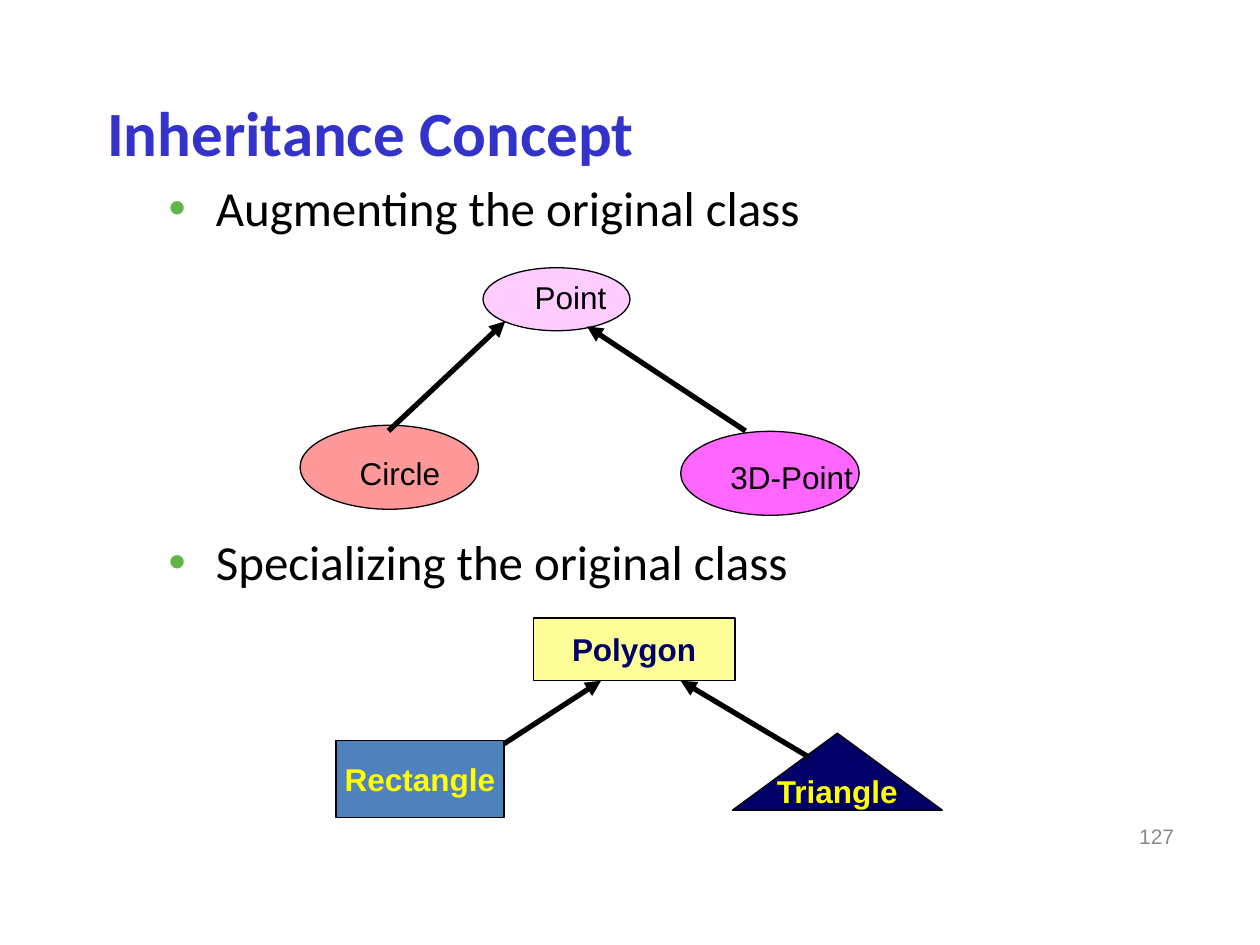
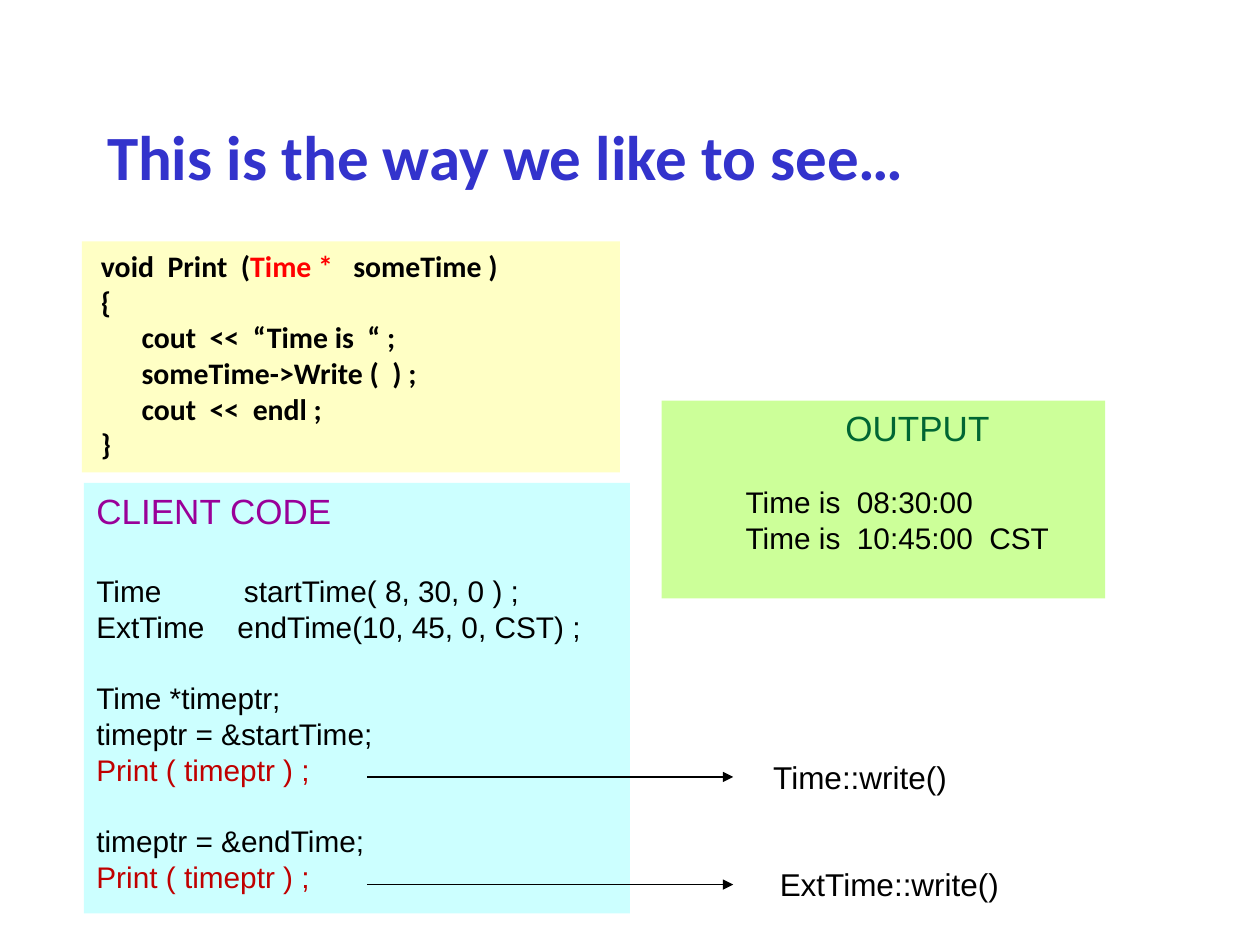
from dataclasses import dataclass

from lxml import etree
from pptx import Presentation
from pptx.dml.color import RGBColor
from pptx.enum.shapes import MSO_CONNECTOR, MSO_SHAPE
from pptx.enum.text import MSO_ANCHOR, MSO_AUTO_SIZE, PP_ALIGN
from pptx.oxml.ns import qn
from pptx.util import Pt

OVAL = MSO_SHAPE.OVAL
RECT = MSO_SHAPE.RECTANGLE
WEDGE = MSO_SHAPE.ISOSCELES_TRIANGLE
STRAIGHT = MSO_CONNECTOR.STRAIGHT
TOP, MIDDLE, BOTTOM = MSO_ANCHOR.TOP, MSO_ANCHOR.MIDDLE, MSO_ANCHOR.BOTTOM
LEFT, CENTER, RIGHT = PP_ALIGN.LEFT, PP_ALIGN.CENTER, PP_ALIGN.RIGHT
FIXED = MSO_AUTO_SIZE.NONE

HUES = {
    "title": "3333CC", "black": "000000", "grey": "898989", "bullet": "61B546",
    "salmon": "FF9999", "pink": "FFCCFF", "magenta": "FF66FF", "blue": "4F81BD",
    "navy": "000066", "lemon": "FFFF99", "yellow": "FFFF00", "cream": "FFFFC5",
    "aqua": "CCFFFF", "lime": "CCFF99", "red": "FF0000", "crimson": "C00000",
    "purple": "990099", "green": "006633",
}
SANS, HEAD = "Arial", "Calibri"
PITCH = 20.4


@dataclass
class Area:
    left: float
    top: float
    width: float
    height: float

    def points(self) -> tuple:
        return Pt(self.left), Pt(self.top), Pt(self.width), Pt(self.height)


@dataclass
class Node:
    kind: int
    area: Area
    fill: str
    text: str = ""
    hue: str = "black"


@dataclass
class Label:
    text: str
    area: Area


@dataclass
class Arrow:
    start: tuple
    end: tuple
    weight: float


@dataclass
class Line:
    spans: list
    indent: float = 0
    before: float = 0
    size: float = 17
    pitch: float = PITCH


@dataclass
class Panel:
    area: Area
    fill: str
    lines: list
    font: str = SANS
    bold: bool = False


def color(name: str) -> RGBColor:
    return RGBColor.from_string(HUES[name])


def style(font, size: float, hue: str, face: str = SANS, bold: bool = False) -> None:
    font.size = Pt(size)
    font.name = face
    font.bold = bold
    font.color.rgb = color(hue)


def set_frame(frame, anchor=TOP, wrap: bool = True) -> None:
    frame.auto_size = FIXED
    frame.word_wrap = wrap
    frame.vertical_anchor = anchor


def new_slide(deck, text: str, area: Area, anchor):
    slide = deck.slides.add_slide(deck.slide_layouts[5])
    title = slide.shapes.title
    title.left, title.top, title.width, title.height = area.points()
    frame = title.text_frame
    frame.text = text
    set_frame(frame, anchor)
    para = frame.paragraphs[0]
    para.alignment = LEFT
    style(para.runs[0].font, 36, "title", HEAD, True)
    return slide


def add_form(slide, kind: int, area: Area, fill: str):
    shape = slide.shapes.add_shape(kind, *area.points())
    shape.shadow.inherit = False
    shape.fill.solid()
    shape.fill.fore_color.rgb = color(fill)
    return shape


def add_node(slide, node: Node) -> None:
    shape = add_form(slide, node.kind, node.area, node.fill)
    shape.line.color.rgb = color("black")
    shape.line.width = Pt(0.75)
    if node.text:
        frame = shape.text_frame
        frame.text = node.text
        set_frame(frame, MIDDLE, False)
        para = frame.paragraphs[0]
        para.alignment = CENTER
        style(para.runs[0].font, 18, node.hue, bold=True)


def add_label(slide, label: Label, size: float = 18, hue: str = "black",
              align=LEFT, anchor=TOP) -> None:
    frame = slide.shapes.add_textbox(*label.area.points()).text_frame
    frame.text = label.text
    set_frame(frame, anchor, align == RIGHT)
    para = frame.paragraphs[0]
    para.alignment = align
    style(para.runs[0].font, size, hue)


def add_arrow(slide, arrow: Arrow) -> None:
    ends = [Pt(value) for value in (*arrow.start, *arrow.end)]
    link = slide.shapes.add_connector(STRAIGHT, *ends)
    link.line.color.rgb = color("black")
    link.line.width = Pt(arrow.weight)
    props = link._element.spPr
    etree.SubElement(props.find(qn("a:ln")), qn("a:tailEnd"), type="triangle")
    etree.SubElement(props, qn("a:effectLst"))


def add_points(slide, area: Area, items: list) -> None:
    frame = slide.shapes.add_textbox(*area.points()).text_frame
    set_frame(frame)
    frame.text = "\n".join(text for text, _ in items)
    for para, (_, before) in zip(frame.paragraphs, items):
        props = para._p.get_or_add_pPr()
        props.set("marL", str(Pt(27)))
        props.set("indent", str(-Pt(27)))
        tint = etree.SubElement(props, qn("a:buClr"))
        etree.SubElement(tint, qn("a:srgbClr"), val=HUES["bullet"])
        etree.SubElement(props, qn("a:buFont"), typeface=SANS)
        etree.SubElement(props, qn("a:buChar"), char="•")
        if before:
            para.space_before = Pt(before)
        style(para.runs[0].font, 28, "black", HEAD)


def add_panel(slide, panel: Panel) -> None:
    shape = add_form(slide, RECT, panel.area, panel.fill)
    shape.line.fill.background()
    frame = shape.text_frame
    set_frame(frame)
    for index, line in enumerate(panel.lines):
        para = frame.add_paragraph() if index else frame.paragraphs[0]
        para.alignment = LEFT
        para._p.get_or_add_pPr().set("marL", str(Pt(line.indent)))
        if line.before:
            para.space_before = Pt(line.before)
        if line.pitch:
            para.line_spacing = Pt(line.pitch)
        for text, hue in line.spans:
            run = para.add_run()
            run.text = text
            style(run.font, line.size, hue, panel.font, panel.bold)


def plain(text: str, indent: float = 0, before: float = 0, hue: str = "black") -> Line:
    return Line([(text, hue)], indent, before)


def header(text: str, hue: str, indent: float = 0) -> Line:
    return Line([(text, hue)], indent, size=20, pitch=0)


NODES = [
    Node(OVAL, Area(171.5, 243, 102, 48), "salmon"),
    Node(OVAL, Area(276, 153, 84, 36), "pink"),
    Node(OVAL, Area(389, 246.5, 102, 48), "magenta"),
    Node(RECT, Area(192, 423, 96, 44), "blue", "Rectangle", "yellow"),
    Node(WEDGE, Area(418.5, 419, 120, 44), "navy", "Triangle", "yellow"),
    Node(RECT, Area(304.75, 353.25, 115.25, 35.5), "lemon", "Polygon", "navy"),
]
LINKS = [
    Arrow((222, 246.25), (288.75, 183.6), 3),
    Arrow((426, 246.25), (335.5, 186.5), 3),
    Arrow((288, 425), (343.5, 389), 3),
    Arrow((462, 432.5), (389, 389), 3),
]
NAMES = [
    Label("Point", Area(298.5, 155.5, 55.5, 29)),
    Label("Circle", Area(198.5, 255.75, 60.5, 29)),
    Label("3D-Point", Area(410.25, 258, 84.5, 29)),
]
POINTS = [("Augmenting the original class", 0), ("Specializing the original class", 168.7)]

NEAR, DEEP, LOG = 3.8, 27, 41
PANELS = [
    Panel(Area(46.8, 138, 307.5, 132), "cream", [
        Line([("void  Print  (", "black"), ("Time *", "red"),
              ("   someTime )", "black")], NEAR),
        plain("{", NEAR),
        plain("cout  <<  “Time is  “ ;", DEEP),
        plain("someTime->Write (  ) ;", DEEP),
        plain("cout  <<  endl ;", DEEP),
        plain("}", NEAR),
    ], HEAD, True),
    Panel(Area(48, 276, 312, 246), "aqua", [
        header("CLIENT CODE", "purple"),
        plain("Time          startTime( 8, 30, 0 ) ;", before=24),
        plain("ExtTime    endTime(10, 45, 0, CST) ;"),
        plain("Time *timeptr;", before=PITCH),
        plain("timeptr = &startTime;"),
        plain("Print ( timeptr ) ;", hue="crimson"),
        plain("timeptr = &endTime;", before=PITCH),
        plain("Print ( timeptr ) ;", hue="crimson"),
    ]),
    Panel(Area(378, 229, 253.5, 113), "lime", [
        header("OUTPUT", "green", 98),
        plain("Time is  08:30:00", LOG, 20),
        plain("Time is  10:45:00  CST", LOG),
    ]),
]
CALLS = [
    Label("Time::write()", Area(434.75, 429.5, 114.5, 29)),
    Label("ExtTime::write()", Area(438.5, 491, 140.5, 29)),
]


def draw_concept(deck) -> None:
    slide = new_slide(deck, "Inheritance Concept", Area(54, 48, 612, 54), MIDDLE)
    add_points(slide, Area(89.25, 98, 600, 264), POINTS)
    for node in NODES:
        add_node(slide, node)
    for link in LINKS:
        add_arrow(slide, link)
    for name in NAMES:
        add_label(slide, name)
    add_label(slide, Label("127", Area(510, 463, 168, 29)), 12, "grey", RIGHT, MIDDLE)


def draw_code(deck) -> None:
    slide = new_slide(deck, "This is the way we like to see…", Area(54, 24, 486, 90), BOTTOM)
    for panel in PANELS:
        add_panel(slide, panel)
    for call in CALLS:
        level = call.area.top + call.area.height / 2
        add_label(slide, call)
        add_arrow(slide, Arrow((210, level), (419, level), 0.75))


def main() -> None:
    deck = Presentation()
    deck.slide_width, deck.slide_height = Pt(720), Pt(540)
    draw_concept(deck)
    draw_code(deck)
    deck.save("out.pptx")


if __name__ == "__main__":
    main()
